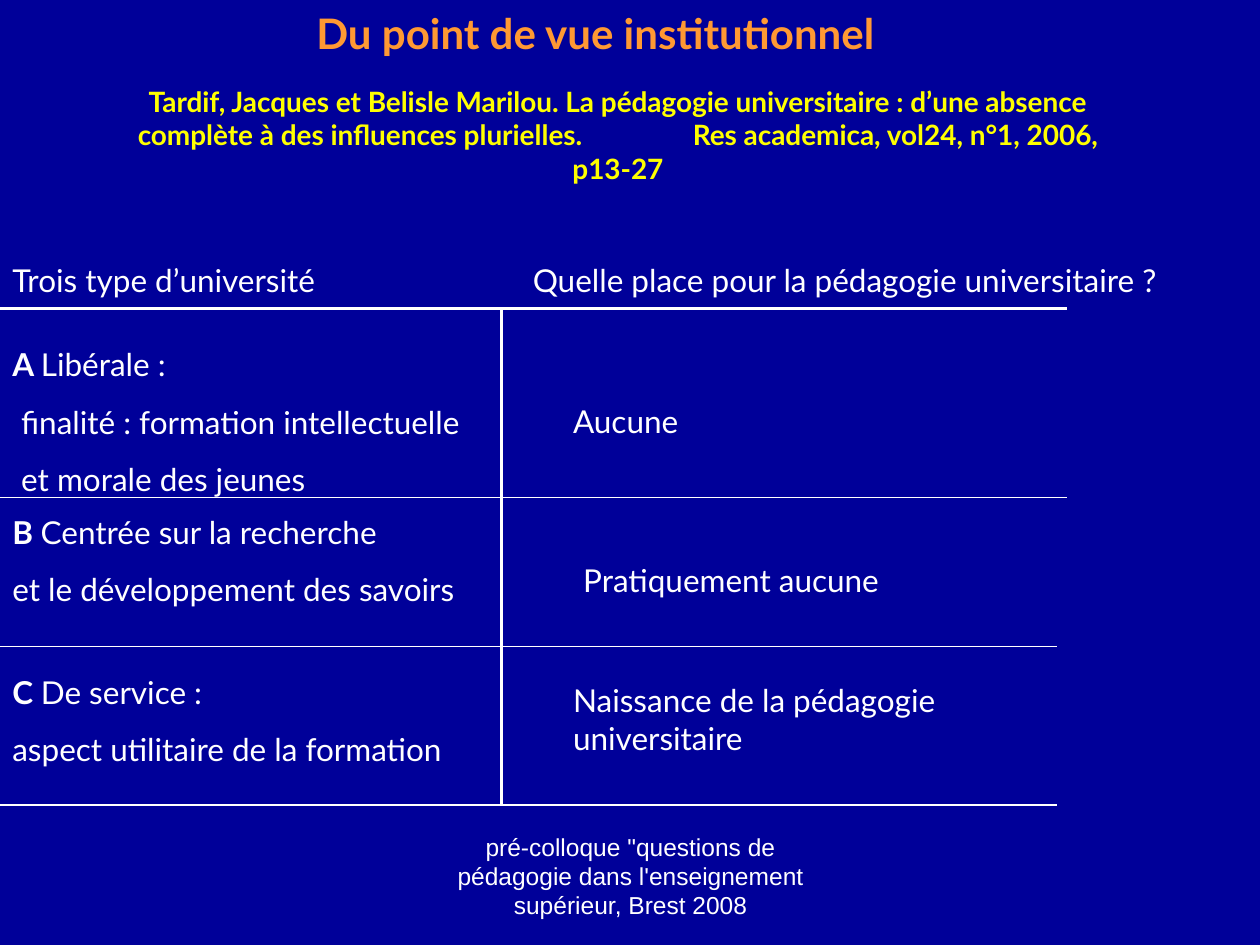
from pptx import Presentation
from pptx.dml.color import RGBColor
from pptx.enum.shapes import MSO_CONNECTOR
from pptx.enum.text import MSO_ANCHOR, MSO_AUTO_SIZE, PP_ALIGN
from pptx.oxml.ns import qn
from pptx.util import Inches, Pt
from lxml import etree

NAVY = RGBColor(0x00, 0x00, 0x99)
WHITE = RGBColor(0xFF, 0xFF, 0xFF)
YELLOW = RGBColor(0xFF, 0xFF, 0x00)
ORANGE = RGBColor(0xFF, 0x99, 0x33)

prs = Presentation()
prs.slide_width, prs.slide_height = Inches(10), Inches(7.5)
slide = prs.slides.add_slide(prs.slide_layouts[5])
slide.background.fill.solid()
slide.background.fill.fore_color.rgb = NAVY


def style(run, size, color=WHITE, bold=False, name="Lato"):
    run.font.size, run.font.name = Pt(size), name
    run.font.bold, run.font.color.rgb = bold, color


def add_box(left, top, width, height, lines):
    box = slide.shapes.add_textbox(
        Inches(left), Inches(top), Inches(width), Inches(height))
    frame = box.text_frame
    frame.word_wrap = True
    frame.text = "\n".join(lines)
    for para in frame.paragraphs:
        for run in para.runs:
            style(run, 18)
    for para in frame.paragraphs[1:]:
        para.space_before = Pt(11.2)
    return frame


# Title
title = slide.shapes.title
title.left, title.top = Inches(1.14), Inches(0.01)
title.width, title.height = Inches(7.17), Inches(0.5)
frame = title.text_frame
frame.text = "Du point de vue institutionnel"
frame.auto_size = MSO_AUTO_SIZE.NONE
frame.vertical_anchor = MSO_ANCHOR.TOP
frame.paragraphs[0].alignment = PP_ALIGN.CENTER
style(frame.paragraphs[0].runs[0], 24, ORANGE, True)

# Citation, with one widely spaced blank before the journal
cite = add_box(0.87, 0.62, 8.07, 0.9, [
    "Tardif, Jacques et Belisle Marilou. La pédagogie universitaire : "
    "d’une absence complète à des influences plurielles."]).paragraphs[0]
cite.alignment = PP_ALIGN.CENTER
gap = cite.add_run()
gap.text = " "
cite.add_run().text = "Res academica, vol24, n°1, 2006, p13-27"
for run in cite.runs:
    style(run, 16, YELLOW, True)
gap._r.get_or_add_rPr().set("spc", "5900")

# Column headings
add_box(0, 2.02, 3.23, 0.4, ["Trois type d’université"])
add_box(4.13, 2.02, 5.59, 0.4,
        ["Quelle place pour la pédagogie universitaire ?"])

# Types of university: top, width, height, letter, lines, indent
types = [
    (2.69, 4.02, 1.32, "A", ["Libérale :",
     "finalité : formation intellectuelle", "et morale des jeunes"], 0.07),
    (4.02, 3.74, 1.16, "B", ["Centrée sur la recherche",
     "et le développement des savoirs"], 0),
    (5.29, 3.74, 1.16, "C", ["De service :",
     "aspect utilitaire de la formation"], 0),
]
for top, width, height, letter, lines, indent in types:
    frame = add_box(0, top, width, height, [letter + " "] + lines[1:])
    head = frame.paragraphs[0]
    head.runs[0].font.bold = True
    rest = head.add_run()
    rest.text = lines[0]
    style(rest, 18)
    for para in frame.paragraphs[1:]:
        para._p.get_or_add_pPr().set("marL", str(Inches(indent)))

# Place given to teaching
for left, top, width, height, text in [
    (4.45, 3.14, 2.44, 0.4, "Aucune"),
    (4.53, 4.4, 2.99, 0.4, "Pratiquement aucune"),
    (4.45, 5.36, 3.31, 0.7, "Naissance de la pédagogie universitaire"),
]:
    add_box(left, top, width, height, [text])

# Rules of the grid
for x1, y1, x2, y2, weight in [
    (0, 2.45, 8.47, 2.45, 2),
    (3.98, 2.45, 3.98, 6.39, 2),
    (0, 3.95, 8.47, 3.95, 0.75),
    (0, 5.13, 8.39, 5.13, 0.75),
    (0, 6.39, 8.39, 6.39, 0.75),
]:
    rule = slide.shapes.add_connector(
        MSO_CONNECTOR.STRAIGHT,
        Inches(x1), Inches(y1), Inches(x2), Inches(y2))
    rule.line.color.rgb, rule.line.width = WHITE, Pt(weight)
    etree.SubElement(rule._element.spPr, qn("a:effectLst"))

# Footer
foot = add_box(3.42, 6.83, 3.17, 0.52, [
    'pré-colloque "questions de pédagogie dans l\'enseignement '
    'supérieur, Brest 2008'])
foot.vertical_anchor = MSO_ANCHOR.BOTTOM
foot.paragraphs[0].alignment = PP_ALIGN.CENTER
style(foot.paragraphs[0].runs[0], 14, name="Arial")

prs.save("out.pptx")
